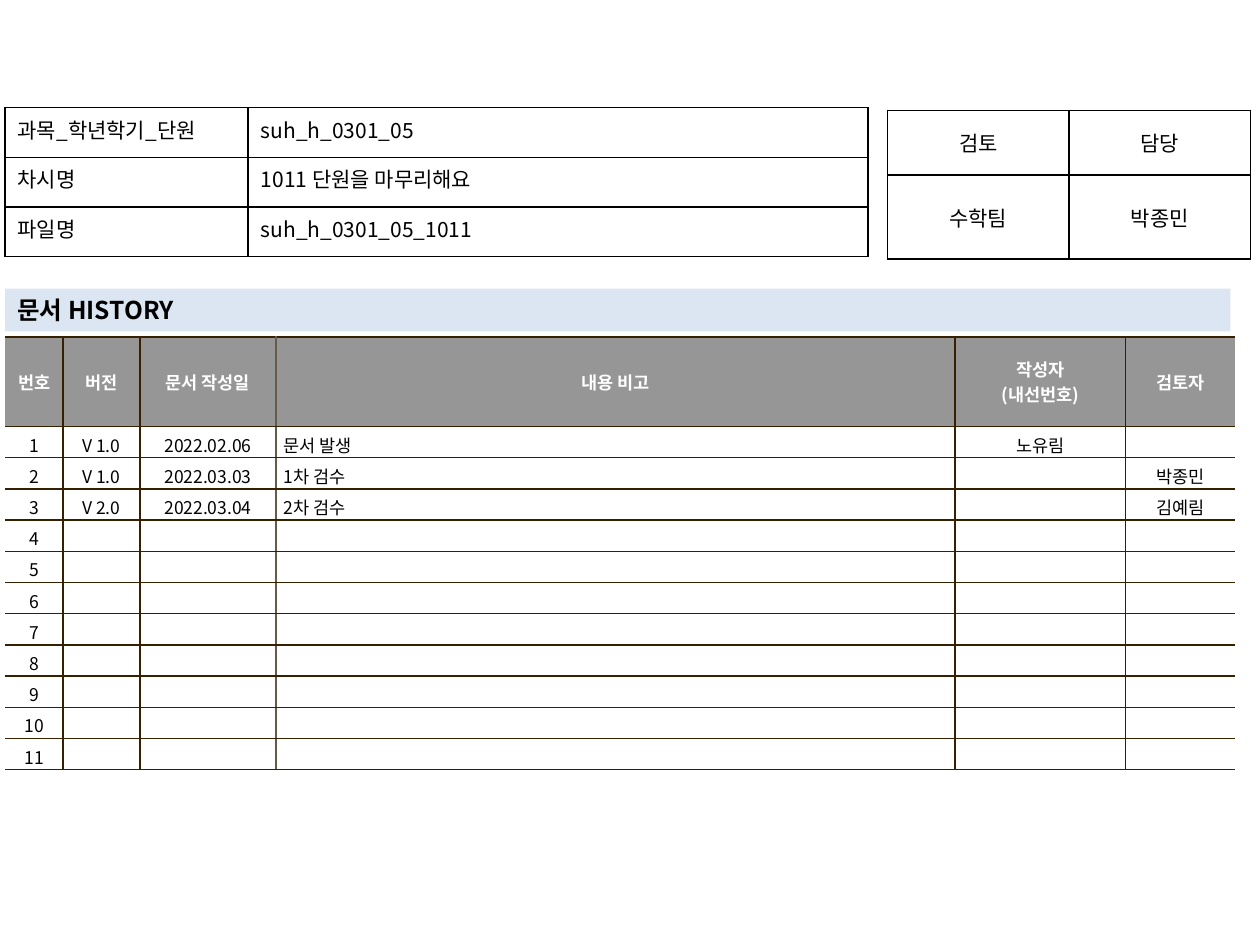
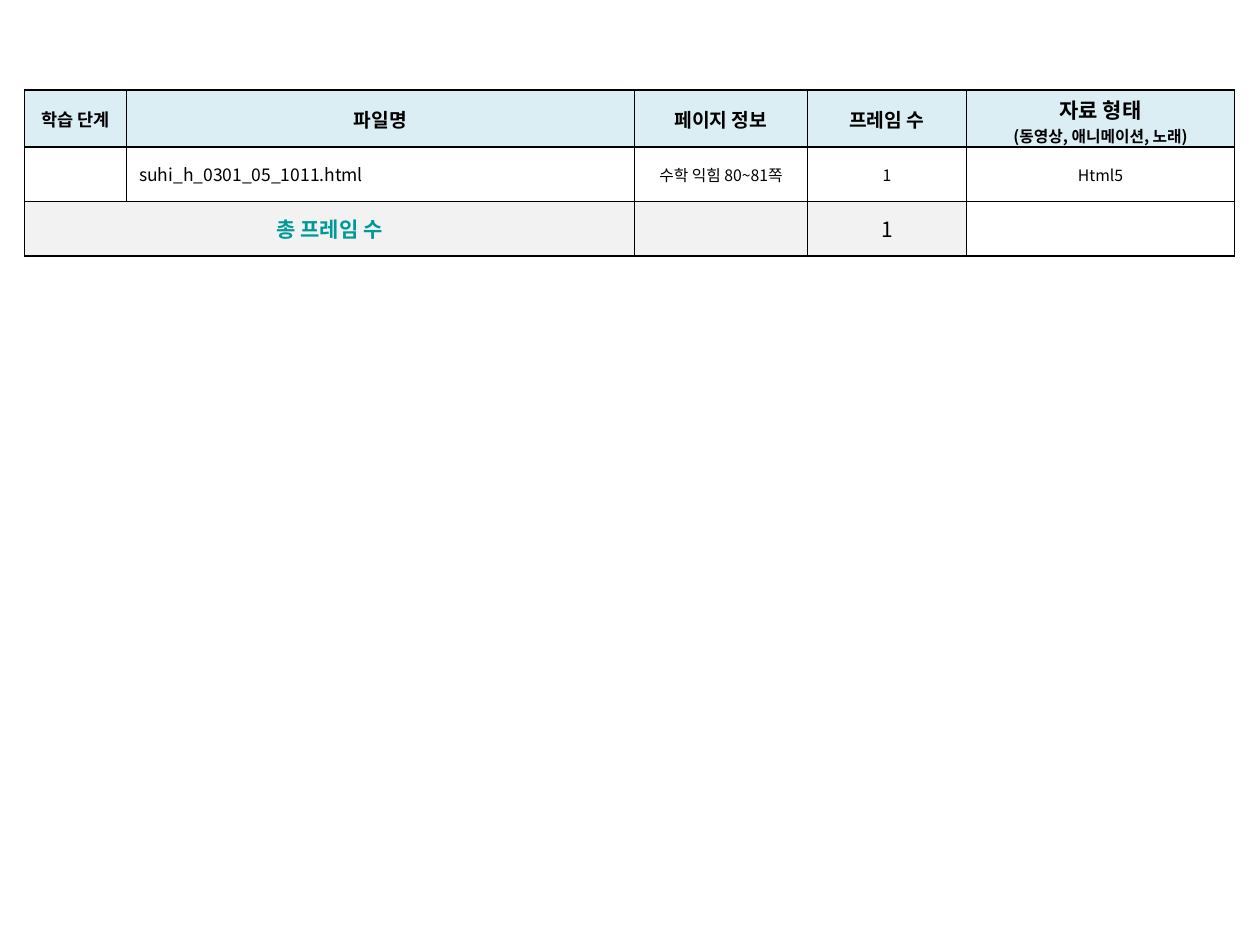
from lxml import etree
from pptx import Presentation
from pptx.dml.color import RGBColor
from pptx.enum.shapes import MSO_SHAPE
from pptx.enum.text import MSO_ANCHOR, PP_ALIGN
from pptx.oxml.ns import qn
from pptx.util import Inches, Pt

RECT = MSO_SHAPE.RECTANGLE
LEFT, CENTER, JUSTIFY = PP_ALIGN.LEFT, PP_ALIGN.CENTER, PP_ALIGN.JUSTIFY
TOP, MIDDLE = MSO_ANCHOR.TOP, MSO_ANCHOR.MIDDLE

FONT = "Noto Sans CJK KR"
PLAIN_TABLE = "{2D5ABB26-0587-4C30-8999-92F81FD0307C}"
COLORS = {
    "black": "000000",
    "white": "FFFFFF",
    "band": "DCE6F2",
    "gray": "969696",
    "brown": "362000",
    "taupe": "645B4C",
    "sky": "DBEEF4",
    "pale": "F2F2F2",
    "teal": "009999",
}
# Cell insets in grid units: sides, top, bottom
WIDE_INSETS = (1, 0.5, 0.5)
TWO_LINE_INSETS = (1, 0.28, 0)
HEADER_INSETS = (0.6, 0.4, 0.4)
ENTRY_INSETS = (0.6, 0.4, 0)


def rgb(name):
    return RGBColor.from_string(COLORS[name])


def grid(units):
    """Length of so many grid units; the slide is 100 columns by 75 rows."""
    return Inches(units / 10)


class Deck:
    def __init__(self):
        self.prs = Presentation()
        self.prs.slide_width, self.prs.slide_height = grid(100), grid(75)
        self.slide = None

    def new_slide(self):
        self.slide = self.prs.slides.add_slide(self.prs.slide_layouts[6])

    def style(self, p, size=12, color="black", bold=False, align=LEFT):
        p.alignment = align
        p.font.name = FONT
        p.font.size = Pt(size)
        p.font.bold = bold
        p.font.color.rgb = rgb(color)
        def_rpr = p._p.pPr.find(qn("a:defRPr"))
        etree.SubElement(def_rpr, qn("a:ea"), typeface=FONT)
        if not p.text:
            etree.SubElement(p._p, qn("a:endParaRPr"), sz=str(size * 100))

    def band(self, at, text, fill, **font):
        sp = self.slide.shapes.add_shape(RECT, *map(grid, at))
        sp.shadow.inherit = False
        sp.fill.solid()
        sp.fill.fore_color.rgb = rgb(fill)
        sp.line.fill.background()
        tf = sp.text_frame
        tf.word_wrap = True
        tf.vertical_anchor = MIDDLE
        tf.text = text
        self.style(tf.paragraphs[0], **font)

    def borders(self, cell, colors):
        """Draw left, right, top and bottom lines; None means no line."""
        tc_pr = cell._tc.get_or_add_tcPr()
        for i, (side, color) in enumerate(zip("LRTB", colors)):
            ln = etree.Element(qn(f"a:ln{side}"), w=str(Pt(1)))
            if color:
                fill = etree.SubElement(ln, qn("a:solidFill"))
                etree.SubElement(fill, qn("a:srgbClr"), val=COLORS[color])
            else:
                etree.SubElement(ln, qn("a:noFill"))
            tc_pr.insert(i, ln)

    def cell(self, cell, text, insets=WIDE_INSETS, fill=None, anchor=MIDDLE,
             small=None, **font):
        """Fill one cell; small is the size of the lines after the first."""
        sides, top, bottom = map(grid, insets)
        cell.margin_left = cell.margin_right = sides
        cell.margin_top, cell.margin_bottom = top, bottom
        cell.vertical_anchor = anchor
        cell.text = text
        for i, p in enumerate(cell.text_frame.paragraphs):
            self.style(p, **(font | {"size": small} if small and i else font))
        if fill:
            cell.fill.solid()
            cell.fill.fore_color.rgb = rgb(fill)
        else:
            cell.fill.background()

    def table(self, left, top, cols, rows, data, look, line="black",
              verticals=None):
        """look(r, c) gives a cell's style; verticals colours the column lines."""
        frame = self.slide.shapes.add_table(
            len(rows), len(cols), grid(left), grid(top),
            grid(sum(cols)), grid(sum(rows)))
        table = frame.table
        table.first_row = table.horz_banding = False
        table._tbl.tblPr.find(qn("a:tableStyleId")).text = PLAIN_TABLE
        for column, width in zip(table.columns, cols):
            column.width = grid(width)
        for row, height in zip(table.rows, rows):
            row.height = grid(height)
        verticals = verticals or [line] * (len(cols) + 1)
        for r in range(len(rows)):
            for c in range(len(cols)):
                text = data[r][c] if c < len(data[r]) else ""
                cell = table.cell(r, c)
                self.cell(cell, text, **look(r, c))
                self.borders(cell, (*verticals[c:c + 2], line, line))
        return table


def history_look(r, c):
    if r == 0:
        return dict(insets=HEADER_INSETS, fill="gray", color="white", bold=True,
                    size=10, align=CENTER)
    return dict(insets=ENTRY_INSETS, fill="white", size=10,
                align=LEFT if c == 3 else CENTER)


def frames_look(r, c):
    if r == 0:
        return dict(insets=TWO_LINE_INSETS if c == 4 else WIDE_INSETS,
                    fill="sky", bold=True, align=CENTER, small=9,
                    size=(10, 11, 11, 11, 12)[c])
    if r == 1:
        return dict(size=10 if c == 1 else 9, align=LEFT if c == 1 else CENTER)
    total = dict(color="teal", bold=True) if c == 0 else {}
    return dict(fill="pale" if c < 4 else None, align=CENTER, **total)


def history_slide(deck):
    deck.new_slide()
    deck.table(70.45, 8.75, [14.4] * 2, [5.15, 6.65],
               [["검토", "담당"], ["수학팀", "박종민"]],
               lambda r, c: dict(align=CENTER))
    deck.band((0.4, 22.9, 97.25, 3.4), "문서 HISTORY", "band", size=14, bold=True)

    entries = [
        ["V 1.0", "2022.02.06", "문서 발생", "노유림"],
        ["V 1.0", "2022.03.03", "1차 검수", "", "박종민"],
        ["V 2.0", "2022.03.04", "2차 검수", "", "김예림"],
    ]
    count = 11
    entries += [[]] * (count - len(entries))
    header = ["번호", "버전", "문서 작성일", "내용 비고",
              "작성자\n(내선번호)", "검토자"]
    deck.table(0.4, 26.75, [4.6, 6.1, 10.8, 53.9, 13.55, 8.7],
               [7.1] + [(34.35 - 7.1) / count] * count,
               [header] + [[str(n), *e] for n, e in enumerate(entries, 1)],
               history_look, "brown",
               [None, "brown", "brown", "taupe", "brown", "brown", None])

    deck.table(0.4, 8.55, [19.3, 49.2], [11.8 / 3] * 3,
               [["과목_학년학기_단원", "suh_h_0301_05"],
                ["차시명", "1011 단원을 마무리해요"],
                ["파일명", "suh_h_0301_05_1011"]],
               lambda r, c: dict(anchor=TOP, align=LEFT if c else JUSTIFY))


def frames_slide(deck):
    deck.new_slide()
    table = deck.table(
        1.95, 7.15, [8.1, 40.3, 13.75, 12.6, 21.3], [4.52, 4.33, 4.33],
        [["학습 단계", "파일명", "페이지 정보", "프레임 수",
          "자료 형태\n(동영상, 애니메이션, 노래)"],
         ["", "suhi_h_0301_05_1011.html", "수학 익힘 80~81쪽", "1", "Html5"],
         ["총 프레임 수", "", "", "1", ""]],
        frames_look)
    table.cell(2, 0).merge(table.cell(2, 1))


def main():
    deck = Deck()
    history_slide(deck)
    frames_slide(deck)
    deck.prs.save("out.pptx")


if __name__ == "__main__":
    main()
